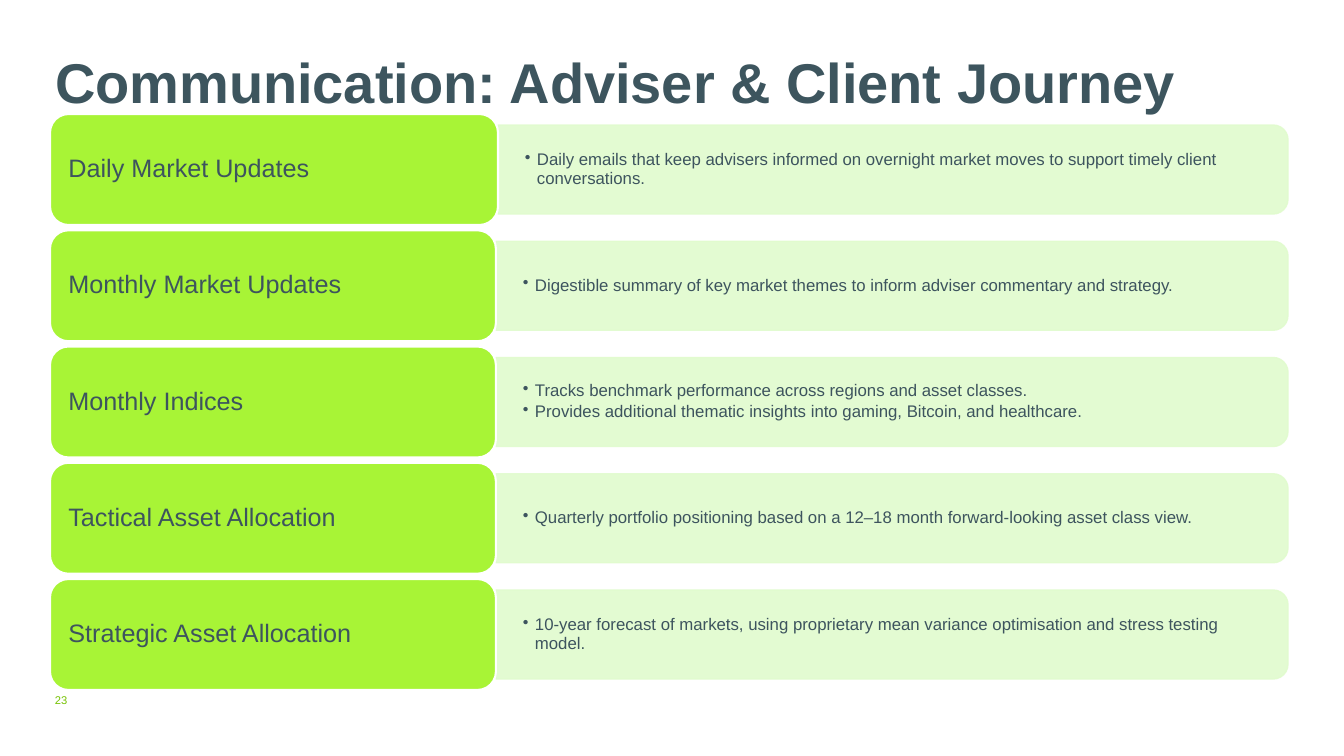
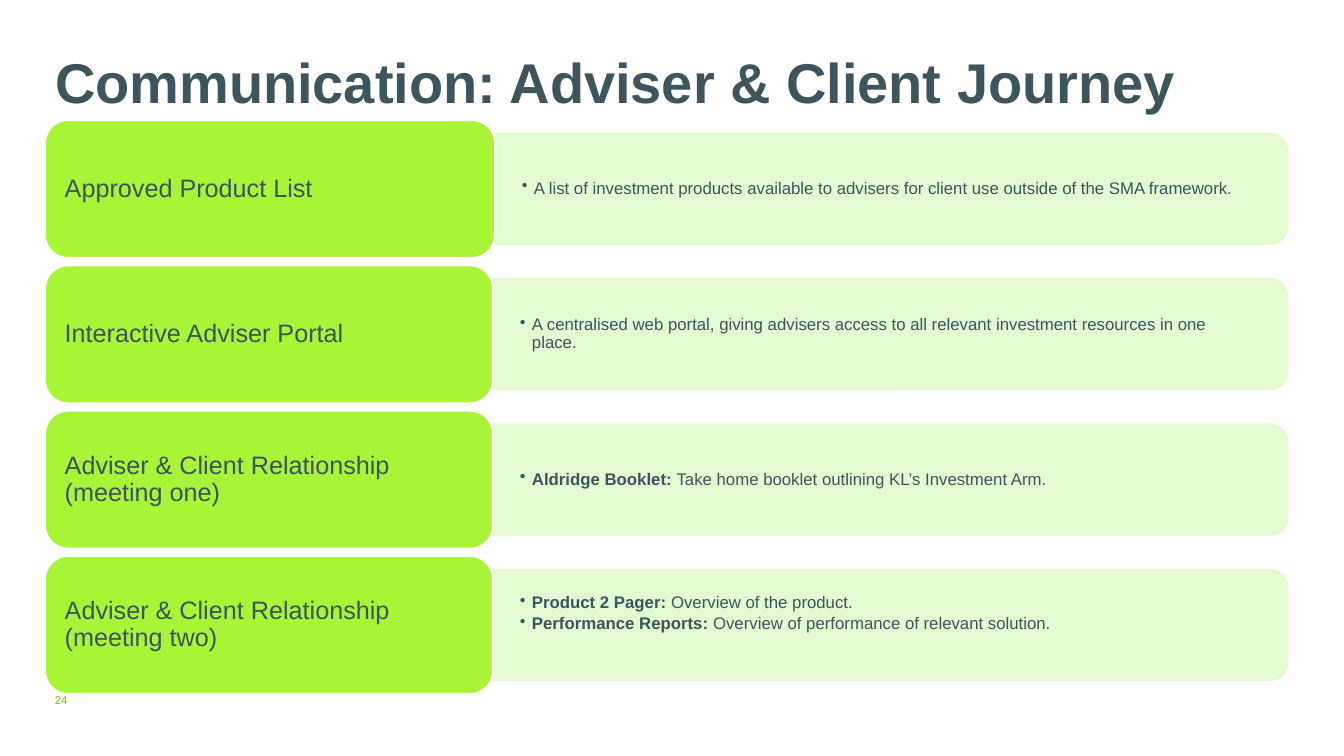
from lxml import etree
from pptx import Presentation
from pptx import util as u
from pptx.dml.color import RGBColor
from pptx.enum import shapes, text
from pptx.oxml import ns

PX = 12192000 / 1344
SLATE = RGBColor(0x3D, 0x54, 0x5E)
TITLE_SLATE = RGBColor(0x3D, 0x55, 0x5E)
LIME = RGBColor(0xA8, 0xF4, 0x36)
PALE_LIME = RGBColor(0xE1, 0xFB, 0xCE)
NUMBER_GREEN = RGBColor(0x76, 0xC2, 0x04)
WHITE = RGBColor(0xFF, 0xFF, 0xFF)
TITLE = "Communication: Adviser & Client Journey"
PANEL_RIGHT = 1288
FIRST_PAGE = 23

PAGES = [
    {
        "left": 50, "top": 114, "bottom": 690, "card_height": 111,
        "panel_height": 89, "card_widths": [448, 446, 446, 446, 446],
        "rows": [
            ("Daily Market Updates", [("", "Daily emails that keep advisers informed on overnight market moves to support timely client conversations.")], 0),
            ("Monthly Market Updates", [("", "Digestible summary of key market themes to inform adviser commentary and strategy.")], 0),
            ("Monthly Indices", [
                ("", "Tracks benchmark performance across regions and asset classes."),
                ("", "Provides additional thematic insights into gaming, Bitcoin, and healthcare."),
            ], 0),
            ("Tactical Asset Allocation", [("", "Quarterly portfolio positioning based on a 12–18 month forward-looking asset class view.")], 0),
            ("Strategic Asset Allocation", [("", "10-year forecast of markets, using proprietary mean variance optimisation and stress testing model.")], 0),
        ],
    },
    {
        "left": 45, "top": 120, "bottom": 694, "card_height": 138,
        "panel_height": 111, "card_widths": [450, 448, 448, 448],
        "rows": [
            ("Approved Product List", [("", "A list of investment products available to advisers for client use outside of the SMA framework.")], 0),
            ("Interactive Adviser Portal", [("", "A centralised web portal, giving advisers access to all relevant investment resources in one place.")], 0),
            ("Adviser & Client Relationship\v(meeting one)", [("Aldridge Booklet: ", "Take home booklet outlining KL’s Investment Arm.")], 0),
            ("Adviser & Client Relationship\v(meeting two)", [
                ("Product 2 Pager: ", "Overview of the product."),
                ("Performance Reports: ", "Overview of performance of relevant solution."),
            ], 22),
        ],
    },
]


def px(*lengths):
    return [u.Emu(round(length * PX)) for length in lengths]


def style_text(frame, size, color, insets, line_spacing=0.9, anchor=text.MSO_ANCHOR.MIDDLE):
    frame.word_wrap = True
    frame.auto_size = text.MSO_AUTO_SIZE.NONE
    frame.vertical_anchor = anchor
    frame.margin_left, frame.margin_top, frame.margin_right, frame.margin_bottom = px(*insets)
    for para in frame.paragraphs:
        para.alignment = text.PP_ALIGN.LEFT
        para.line_spacing = line_spacing
        for span in para.runs:
            span.font.name = "Arial"
            span.font.size = u.Pt(size)
            span.font.color.rgb = color


deck = Presentation()
deck.slide_width, deck.slide_height = px(1344, 756)

for number, content in enumerate(PAGES, FIRST_PAGE):
    page = deck.slides.add_slide(deck.slide_layouts[5])
    title = page.shapes.title
    title.left, title.top, title.width, title.height = px(55, 55, 1135, 96)
    title.text_frame.text = TITLE
    style_text(title.text_frame, 40, TITLE_SLATE, (0, 0, 0, 0), anchor=text.MSO_ANCHOR.TOP)
    title.text_frame.paragraphs[0].runs[0].font.bold = True

    number_box = page.shapes.add_textbox(*px(55, 689, 42, 22))
    number_box.text_frame.text = str(number)
    style_text(number_box.text_frame, 8, NUMBER_GREEN, (0, 0, 0, 0), line_spacing=1.0)

    left, top = content["left"], content["top"]
    card_height, panel_height = content["card_height"], content["panel_height"]
    pitch = (content["bottom"] - top - card_height) / (len(content["rows"]) - 1)

    for index, (heading, points, lift) in enumerate(content["rows"]):
        card_top = top + index * pitch
        card_width = content["card_widths"][index]
        panel_left = left + card_width
        panel_width = PANEL_RIGHT - panel_left
        middle = card_top + card_height / 2

        panel = page.shapes.add_shape(
            shapes.MSO_SHAPE.ROUND_2_SAME_RECTANGLE,
            *px(panel_left + (panel_width - panel_height) / 2, middle - panel_width / 2, panel_height, panel_width))
        panel.rotation = 90
        panel.shadow.inherit = False
        panel.fill.solid()
        panel.fill.fore_color.rgb = PALE_LIME
        panel.line.color.rgb = PALE_LIME
        panel.line.width = u.Pt(1)
        for color in panel.element.spPr.iter(ns.qn("a:srgbClr")):
            etree.SubElement(color, ns.qn("a:alpha")).set("val", "90000")

        box_height = panel_height - 10
        box = page.shapes.add_textbox(*px(panel_left, middle - box_height / 2, panel_width - 5, box_height))
        for position, (lead, detail) in enumerate(points):
            para = box.text_frame.add_paragraph() if position else box.text_frame.paragraphs[0]
            properties = para._p.get_or_add_pPr()
            indent = px(12)[0]
            properties.set("marL", str(indent))
            properties.set("indent", str(-indent))
            etree.SubElement(properties, ns.qn("a:buChar")).set("char", "•")
            if lead:
                span = para.add_run()
                span.text = lead
                span.font.bold = True
            para.add_run().text = detail
            para.space_after = u.Pt(2)
        style_text(box.text_frame, 12, SLATE, (27, 14, 27, 14 + lift))

        card = page.shapes.add_shape(
            shapes.MSO_SHAPE.ROUNDED_RECTANGLE, *px(left, card_top, card_width, card_height))
        card.shadow.inherit = False
        card.fill.solid()
        card.fill.fore_color.rgb = LIME
        card.line.color.rgb = WHITE
        card.line.width = u.Pt(1.5)
        card.text_frame.text = heading
        style_text(card.text_frame, 18, SLATE, (13, 10, 13, 10))

deck.save("out.pptx")
